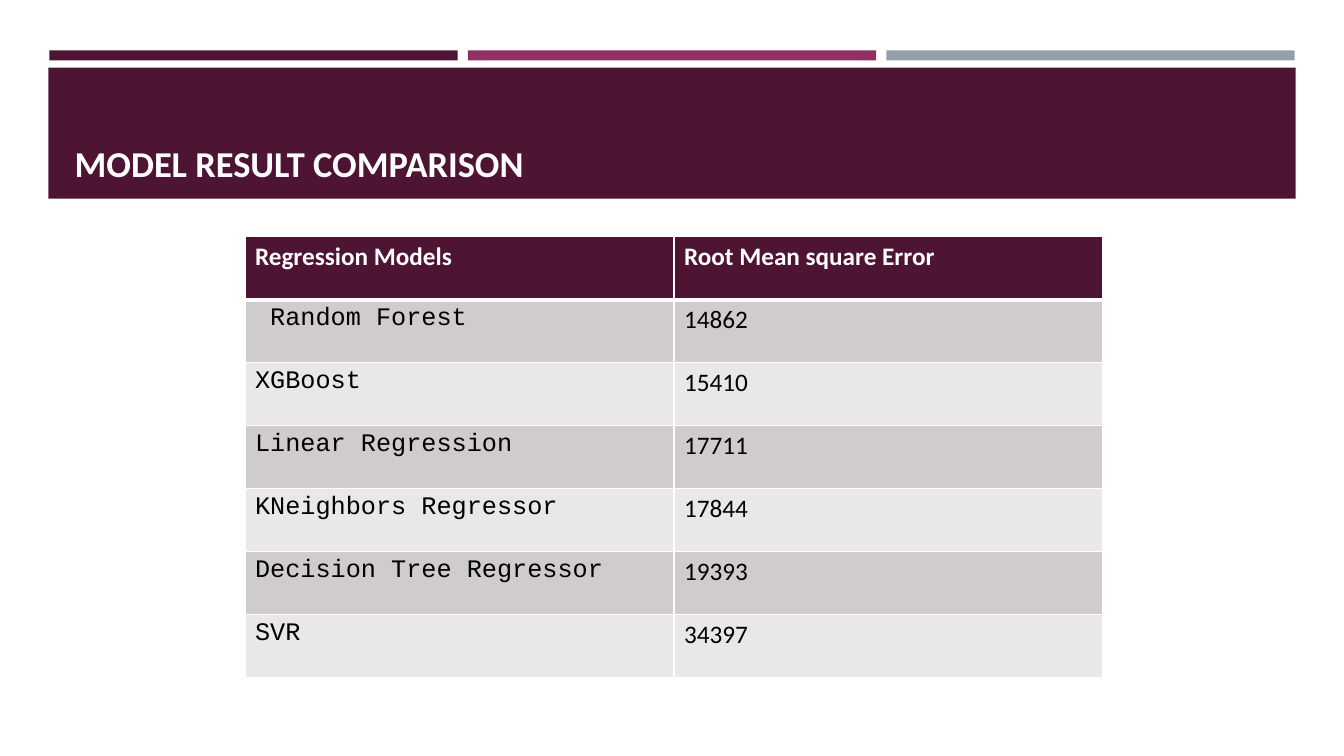
"""Build a slide comparing regression models by root mean square error."""
from dataclasses import dataclass

from lxml import etree
from pptx import Presentation
from pptx.dml.color import RGBColor
from pptx.enum.shapes import MSO_SHAPE
from pptx.enum.text import MSO_ANCHOR, PP_ALIGN
from pptx.oxml.ns import qn
from pptx.util import Inches, Pt

RECTANGLE = MSO_SHAPE.RECTANGLE
BOTTOM = MSO_ANCHOR.BOTTOM
LEFT = PP_ALIGN.LEFT

TITLE = "MODEL RESULT COMPARISON"
HEADERS = ("Regression Models", "Root Mean square Error")
RESULTS = [
    (" Random Forest ", "14862"),
    ("XGBoost", "15410"),
    ("Linear Regression", "17711"),
    ("KNeighbors Regressor ", "17844"),
    ("Decision Tree Regressor", "19393"),
    ("SVR", "34397"),
]


@dataclass(frozen=True)
class Theme:
    plum: str = "4D1434"
    berry: str = "903163"
    slate: str = "969FA7"
    dark_row: str = "D0CCCE"
    light_row: str = "E9E7E8"
    white: str = "FFFFFF"
    black: str = "000000"
    sans: str = "Calibri"
    mono: str = "Courier New"
    title_size: int = 26
    table_size: int = 18
    thin_rule: int = 1
    header_rule: int = 3


THEME = Theme()
WIDTH, HEIGHT = 13.33, 7.5
BAND = (0.48, 0.67, 12.37, 1.3)
TITLE_BOX = (0.64, 0.77, 12.06, 1.11)
BAR_LEFT, BAR_TOP, BAR_WIDTH, BAR_HEIGHT, BAR_GAP = 0.49, 0.5, 4.05, 0.1, 0.1
TABLE_BOX = (2.43, 2.35, 8.51, 4.37)


def inches(box):
    return [Inches(length) for length in box]


def add_block(page, box, color):
    block = page.shapes.add_shape(RECTANGLE, *inches(box))
    block.shadow.inherit = False
    block.fill.solid()
    block.fill.fore_color.rgb = RGBColor.from_string(color)
    block.line.fill.background()


def style_text(frame, font, size, color, bold):
    para = frame.paragraphs[0]
    para.alignment = LEFT
    for span in para.runs:
        span.font.name = font
        span.font.size = Pt(size)
        span.font.bold = bold
        span.font.color.rgb = RGBColor.from_string(color)


def add_border(cell, side, weight):
    properties = cell._tc.get_or_add_tcPr()
    line = etree.SubElement(properties, qn(f"a:ln{side}"), w=str(Pt(weight)))
    fill = etree.SubElement(line, qn("a:solidFill"))
    etree.SubElement(fill, qn("a:srgbClr"), val=THEME.white)


def add_title(page):
    title = page.shapes.title
    title.left, title.top, title.width, title.height = inches(TITLE_BOX)
    title.text_frame.text = TITLE
    title.text_frame.word_wrap = True
    title.text_frame.vertical_anchor = BOTTOM
    style_text(title.text_frame, THEME.sans, THEME.title_size, THEME.white, True)
    title.element.getparent().append(title.element)


def add_results(page):
    rows = [HEADERS, *RESULTS]
    table = page.shapes.add_table(len(rows), len(HEADERS), *inches(TABLE_BOX)).table
    for row, values in enumerate(rows):
        header = row == 0
        stripe = THEME.dark_row if row % 2 else THEME.light_row
        for column, value in enumerate(values):
            cell = table.cell(row, column)
            cell.text_frame.text = value
            font = THEME.mono if column == 0 and not header else THEME.sans
            color = THEME.white if header else THEME.black
            style_text(cell.text_frame, font, THEME.table_size, color, header)
            above = THEME.header_rule if row == 1 else THEME.thin_rule
            below = THEME.header_rule if header else THEME.thin_rule
            for side, weight in (("L", THEME.thin_rule), ("R", THEME.thin_rule),
                                 ("T", above), ("B", below)):
                add_border(cell, side, weight)
            cell.fill.solid()
            cell.fill.fore_color.rgb = RGBColor.from_string(
                THEME.plum if header else stripe)


def main():
    deck = Presentation()
    deck.slide_width, deck.slide_height = Inches(WIDTH), Inches(HEIGHT)
    page = deck.slides.add_slide(deck.slide_layouts.get_by_name("Title Only"))
    for index, color in enumerate((THEME.plum, THEME.berry, THEME.slate)):
        left = BAR_LEFT + index * (BAR_WIDTH + BAR_GAP)
        add_block(page, (left, BAR_TOP, BAR_WIDTH, BAR_HEIGHT), color)
    add_block(page, BAND, THEME.plum)
    add_title(page)
    add_results(page)
    deck.save("out.pptx")


if __name__ == "__main__":
    main()
